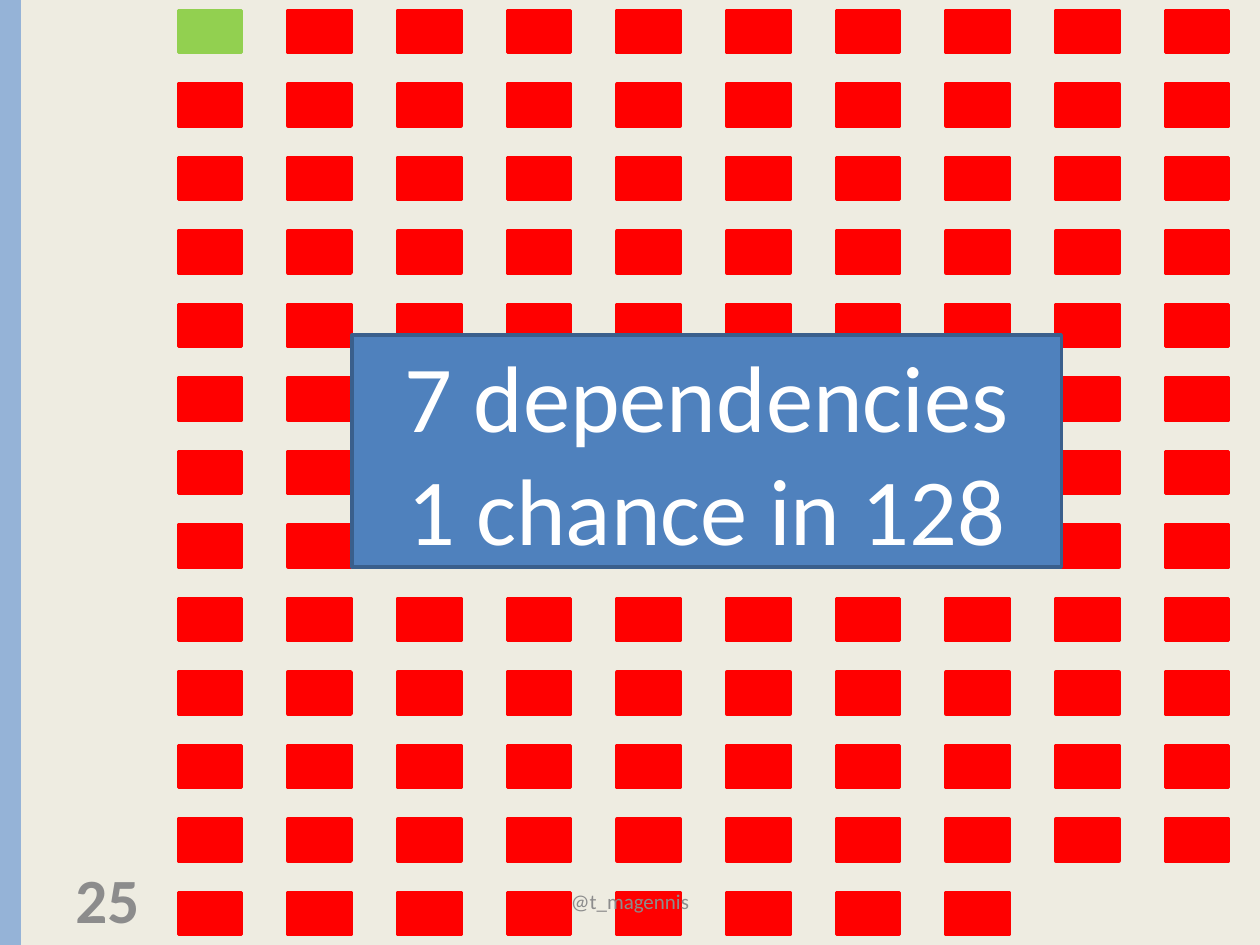
"""Build a slide of 128 outcome tiles showing the odds with seven dependencies."""
from pptx import Presentation
from pptx.dml.color import RGBColor
from pptx.enum.shapes import MSO_SHAPE
from pptx.enum.text import MSO_ANCHOR, PP_ALIGN
from pptx.util import Pt

COLORS = {
    "background": "EEECE1",
    "stripe": "95B3D7",
    "success": "92D050",
    "failure": "FF0000",
    "banner": "4F81BD",
    "banner_line": "3A5F8C",
    "banner_text": "FFFFFF",
    "footer": "8C8C8C",
}
OUTCOMES = 128
COLUMNS = 10
COVERED_ROWS = (5, 6)
COVERED_COLUMNS = range(2, 8)


def add_box(left, top, width, height, fill, line=None):
    shape = slide.shapes.add_shape(
        MSO_SHAPE.RECTANGLE, Pt(left), Pt(top), Pt(width), Pt(height))
    shape.shadow.inherit = False
    shape.fill.solid()
    shape.fill.fore_color.rgb = RGBColor.from_string(COLORS[fill])
    if line:
        shape.line.color.rgb = RGBColor.from_string(COLORS[line])
        shape.line.width = Pt(2)
    else:
        shape.line.fill.background()
    return shape


def write_lines(shape, lines, size, color, alignment, bold=False):
    frame = shape.text_frame
    frame.word_wrap = True
    frame.vertical_anchor = MSO_ANCHOR.MIDDLE
    frame.text = "\n".join(lines)
    for paragraph in frame.paragraphs:
        paragraph.alignment = alignment
        paragraph.font.name = "Calibri"
        paragraph.font.size = Pt(size)
        paragraph.font.bold = bold
        paragraph.font.color.rgb = RGBColor.from_string(COLORS[color])


presentation = Presentation()
presentation.slide_width = Pt(720)
presentation.slide_height = Pt(540)
slide = presentation.slides.add_slide(presentation.slide_layouts[6])
slide.background.fill.solid()
slide.background.fill.fore_color.rgb = RGBColor.from_string(COLORS["background"])

add_box(0, 0, 12, 540, "stripe")

slide_number = slide.shapes.add_textbox(Pt(36), Pt(499), Pt(168), Pt(29))
write_lines(slide_number, ["25"], 36, "footer", PP_ALIGN.LEFT, bold=True)

for outcome in range(OUTCOMES):
    row, column = divmod(outcome, COLUMNS)
    if row in COVERED_ROWS and column in COVERED_COLUMNS:
        continue
    color = "success" if outcome == 0 else "failure"
    add_box(102 + 62.67 * column, 6 + 42 * row, 36, 24, color, color)

banner = add_box(201, 191.5, 405.5, 132.5, "banner", "banner_line")
write_lines(banner, ["7 dependencies", "1 chance in 128"], 54, "banner_text",
            PP_ALIGN.CENTER)

footer = slide.shapes.add_textbox(Pt(246), Pt(500.5), Pt(228), Pt(29))
write_lines(footer, ["@t_magennis"], 12, "footer", PP_ALIGN.CENTER)

presentation.save("out.pptx")
